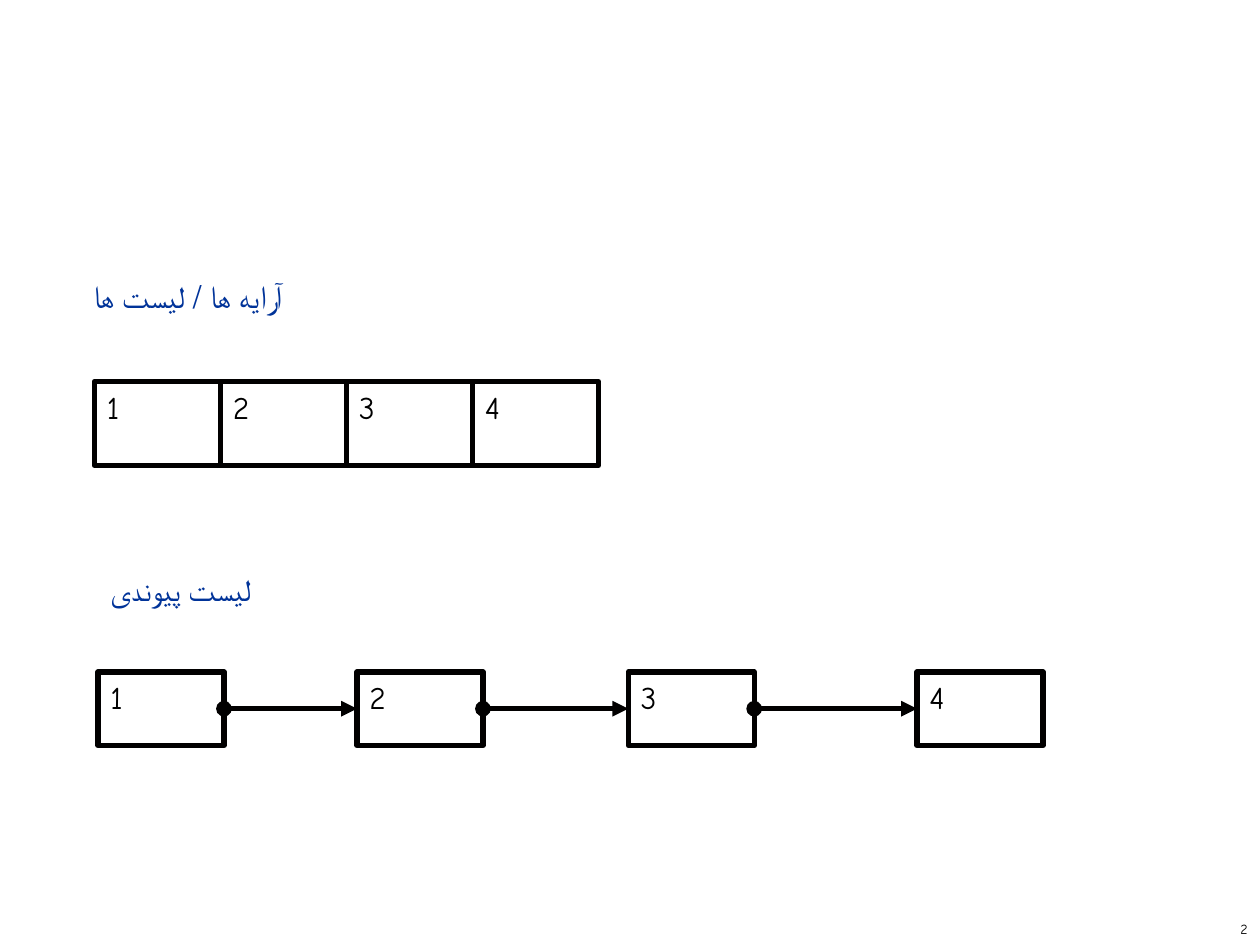
"""Build a slide that contrasts an array with a linked list."""
import pptx
import pptx.dml.color
import pptx.enum.shapes
import pptx.enum.text
import pptx.oxml.ns
import pptx.util
from dataclasses import dataclass

Pt = pptx.util.Pt
RGB = pptx.dml.color.RGBColor.from_string
ANCHOR = pptx.enum.text.MSO_ANCHOR
ALIGN = pptx.enum.text.PP_ALIGN


@dataclass(frozen=True)
class Theme:
    font: str = "Comic Neue"
    ink: str = "000000"
    line: str = "010000"
    paper: str = "FFFFFF"
    heading: str = "003399"
    body_size: float = 18
    number_size: float = 8
    line_width: float = 3


theme = Theme()


def write(s, text, size, color, align=ALIGN.LEFT, anchor=ANCHOR.TOP):
    tf = s.text_frame
    tf.text = text
    tf.word_wrap = True
    tf.vertical_anchor = anchor
    p = tf.paragraphs[0]
    p.alignment = align
    font = p.runs[0].font
    font.name, font.size = theme.font, Pt(size)
    font.color.rgb = RGB(color)
    return p


def add_cell(sp, left, top, height, text):
    s = sp.add_shape(pptx.enum.shapes.MSO_SHAPE.RECTANGLE, Pt(left), Pt(top), Pt(cell_width), Pt(height))
    s.shadow.inherit = False
    s.fill.solid()
    s.fill.fore_color.rgb = RGB(theme.paper)
    s.line.color.rgb = RGB(theme.line)
    s.line.width = Pt(theme.line_width)
    write(s, text, theme.body_size, theme.ink)
    return s


prs = pptx.Presentation()
prs.slide_width, prs.slide_height = Pt(720), Pt(540)
slide = prs.slides.add_slide(prs.slide_layouts[6])
sp = slide.shapes

values = ["1", "2", "3", "4"]
cell_width = 72

page_number = sp.add_textbox(Pt(570), Pt(522), Pt(150), Pt(18))
write(page_number, "2", theme.number_size, theme.ink, ALIGN.RIGHT, ANCHOR.MIDDLE)

node_lefts = [56, 204, 359, 524]
nodes = [add_cell(sp, left, 384, 42, value) for left, value in zip(node_lefts, values)]

for source, target in zip(nodes, nodes[1:]):
    link = sp.add_connector(pptx.enum.shapes.MSO_CONNECTOR.STRAIGHT, 0, 0, 0, 0)
    link.begin_connect(source, 3)
    link.end_connect(target, 1)
    link.line.color.rgb = RGB(theme.line)
    link.line.width = Pt(theme.line_width)
    ln = link.line._get_or_add_ln()
    for tag, kind in (("a:headEnd", "oval"), ("a:tailEnd", "triangle")):
        ln.append(pptx.oxml.ns.qn(tag) and pptx.oxml.parse_xml(
            f'<{tag} {pptx.oxml.ns.nsdecls("a")} type="{kind}"/>'))
    link._element.spPr.append(pptx.oxml.parse_xml(f'<a:effectLst {pptx.oxml.ns.nsdecls("a")}/>'))

array = sp.add_group_shape()
for i, value in enumerate(values):
    add_cell(array.shapes, 54 + i * cell_width, 218, 48, value)

for left, top, text in ((46, 150.5, "آرایه ها / لیست ها"), (56, 317.5, "لیست پیوندی")):
    heading = sp.add_textbox(Pt(left), Pt(top), Pt(618), Pt(48))
    p = write(heading, text, theme.body_size, theme.heading)
    p.line_spacing = Pt(26)

prs.save("out.pptx")
